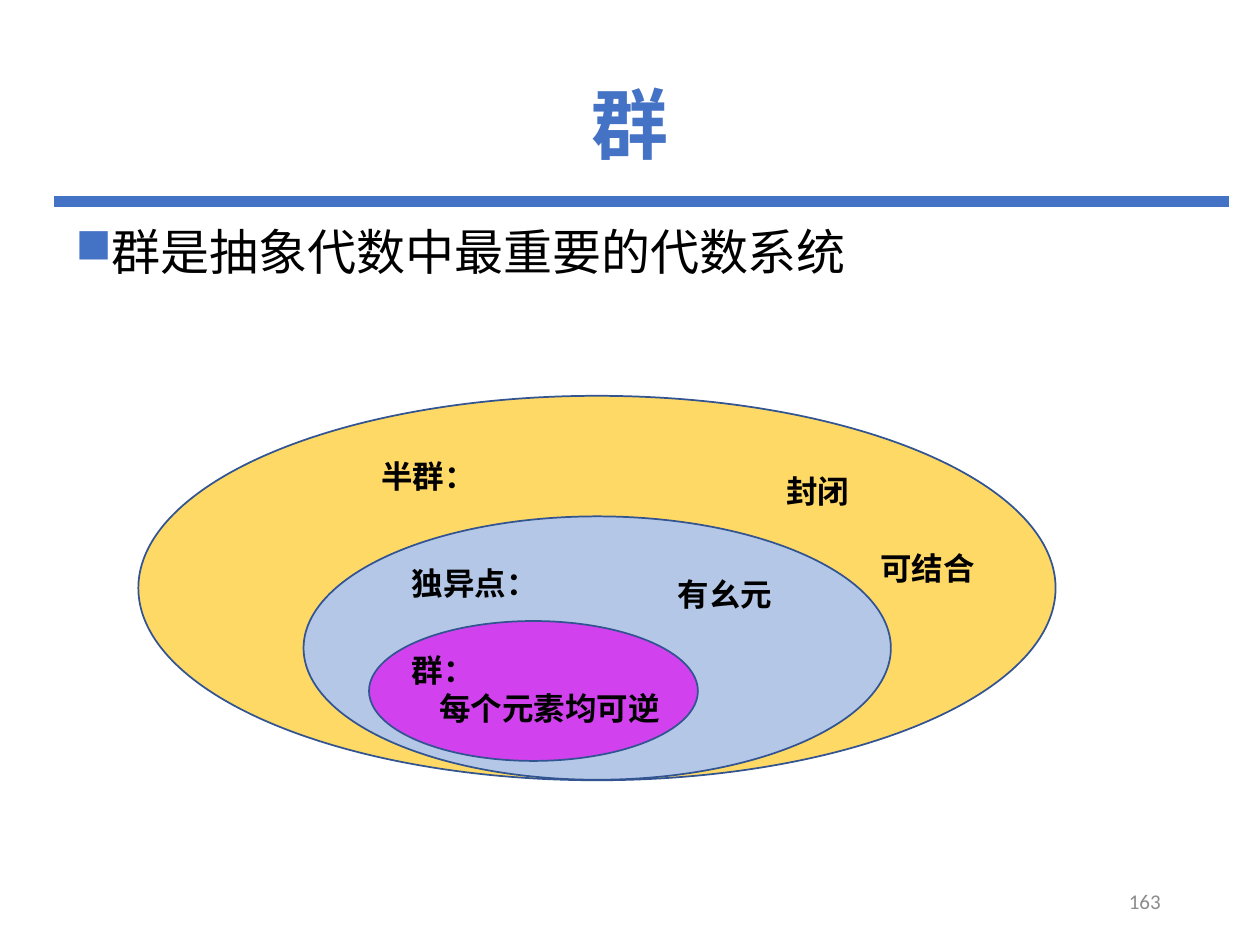
from dataclasses import dataclass

from lxml import etree
from pptx import Presentation
from pptx.dml.color import RGBColor
from pptx.enum.shapes import MSO_CONNECTOR, MSO_SHAPE
from pptx.enum.text import MSO_ANCHOR, MSO_AUTO_SIZE, PP_ALIGN
from pptx.oxml.ns import qn
from pptx.util import Cm, Pt

LINE, OVAL = MSO_CONNECTOR.STRAIGHT, MSO_SHAPE.OVAL
MID, TOP = MSO_ANCHOR.MIDDLE, MSO_ANCHOR.TOP
LEFT, MIDDLE, RIGHT = PP_ALIGN.LEFT, PP_ALIGN.CENTER, PP_ALIGN.RIGHT
GROW = MSO_AUTO_SIZE.SHAPE_TO_FIT_TEXT
BLUE, EDGE, BLACK, GREY = "4472C4", "325491", "000000", "8C8C8C"
LATIN, HAN = "Calibri", "Noto Sans CJK SC"
BOLD = {"size": Pt(18), "bold": True}


@dataclass
class Oval:
    left: float
    top: float
    width: float
    height: float
    fill: str


@dataclass
class Label:
    text: str
    left: float
    top: float
    width: float = 3.2
    height: float = 1.04


OVALS = [
    Oval(2.79, 7.98, 18.49, 7.75, "FFD966"),
    Oval(6.12, 10.41, 11.84, 5.31, "B4C7E7"),
    Oval(7.44, 12.52, 6.63, 2.82, "D142EE"),
]
LABELS = [
    Label("半群：", 7.44, 9.09),
    Label("封闭", 15.6, 9.4),
    Label("可结合", 17.5, 10.95),
    Label("独异点：", 8.05, 11.25),
    Label("有幺元", 13.41, 11.46),
    Label("群：\n每个元素均可逆", 8.05, 13, 6, 1.8),
]


def paint(color, code: str) -> None:
    color.rgb = RGBColor.from_string(code)


def style(para, form: dict, code: str = BLACK) -> None:
    for run in para.runs:
        for key, value in ({"name": LATIN} | form).items():
            setattr(run.font, key, value)
        paint(run.font.color, code)
        east = etree.SubElement(run.font._element, qn("a:ea"))
        east.set("typeface", HAN)


def indent(para, left: float, first: float = 0) -> None:
    props = para._p.get_or_add_pPr()
    props.set("marL", str(Cm(left)))
    props.set("indent", str(Cm(first)))


def add_text(slide, label: Label, form: dict, code: str = BLACK,
             align=LEFT, anchor=TOP):
    box = slide.shapes.add_textbox(
        Cm(label.left), Cm(label.top), Cm(label.width), Cm(label.height))
    frame = box.text_frame
    frame.word_wrap, frame.vertical_anchor = True, anchor
    frame.text = label.text
    for para in frame.paragraphs:
        para.alignment = align
        style(para, form, code)
    return frame


def add_oval(slide, oval: Oval) -> None:
    shape = slide.shapes.add_shape(
        OVAL, Cm(oval.left), Cm(oval.top), Cm(oval.width), Cm(oval.height))
    shape.shadow.inherit = False
    shape.fill.solid()
    paint(shape.fill.fore_color, oval.fill)
    paint(shape.line.color, EDGE)
    shape.line.width = Pt(1)


def add_bullet(para) -> None:
    indent(para, 0.64, -0.64)
    props = para._p.get_or_add_pPr()
    color = etree.SubElement(props, qn("a:buClr"))
    etree.SubElement(color, qn("a:srgbClr")).set("val", BLUE)
    etree.SubElement(props, qn("a:buChar")).set("char", "■")


def main() -> None:
    deck = Presentation()
    deck.slide_width, deck.slide_height = Cm(25.4), Cm(19.05)
    slide = deck.slides.add_slide(deck.slide_layouts[5])

    # Title and rule
    title = slide.shapes.title
    place = {"left": 1.75, "top": 1.02, "width": 21.9, "height": 3.15}
    for key, value in place.items():
        setattr(title, key, Cm(value))
    title.text_frame.text = "群"
    title.text_frame.vertical_anchor = MID
    head = title.text_frame.paragraphs[0]
    head.alignment, head.line_spacing = MIDDLE, 0.9
    style(head, {"name": HAN, "size": Pt(44), "bold": True}, BLUE)

    rule = slide.shapes.add_connector(
        LINE, Cm(1.09), Cm(4.06), Cm(24.77), Cm(4.06))
    paint(rule.line.color, BLUE)
    rule.line.width = Pt(6)
    etree.SubElement(rule._element.spPr, qn("a:effectLst"))

    # Statement
    body = Label("群是抽象代数中最重要的代数系统", 1.27, 4.47, 22.86, 14.2)
    point = add_text(slide, body, {"size": Pt(28)}).paragraphs[0]
    point.line_spacing = 0.9
    add_bullet(point)

    # Nested sets and their names
    for oval in OVALS:
        add_oval(slide, oval)
    for label in LABELS:
        frame = add_text(slide, label, BOLD)
        frame.auto_size = GROW
        for para in frame.paragraphs[1:]:
            indent(para, 0.56)

    # Page number
    page = Label("163", 17.93, 17.65, 5.72, 1.02)
    add_text(slide, page, {"size": Pt(12)}, GREY, RIGHT, MID)
    deck.save("out.pptx")


if __name__ == "__main__":
    main()
